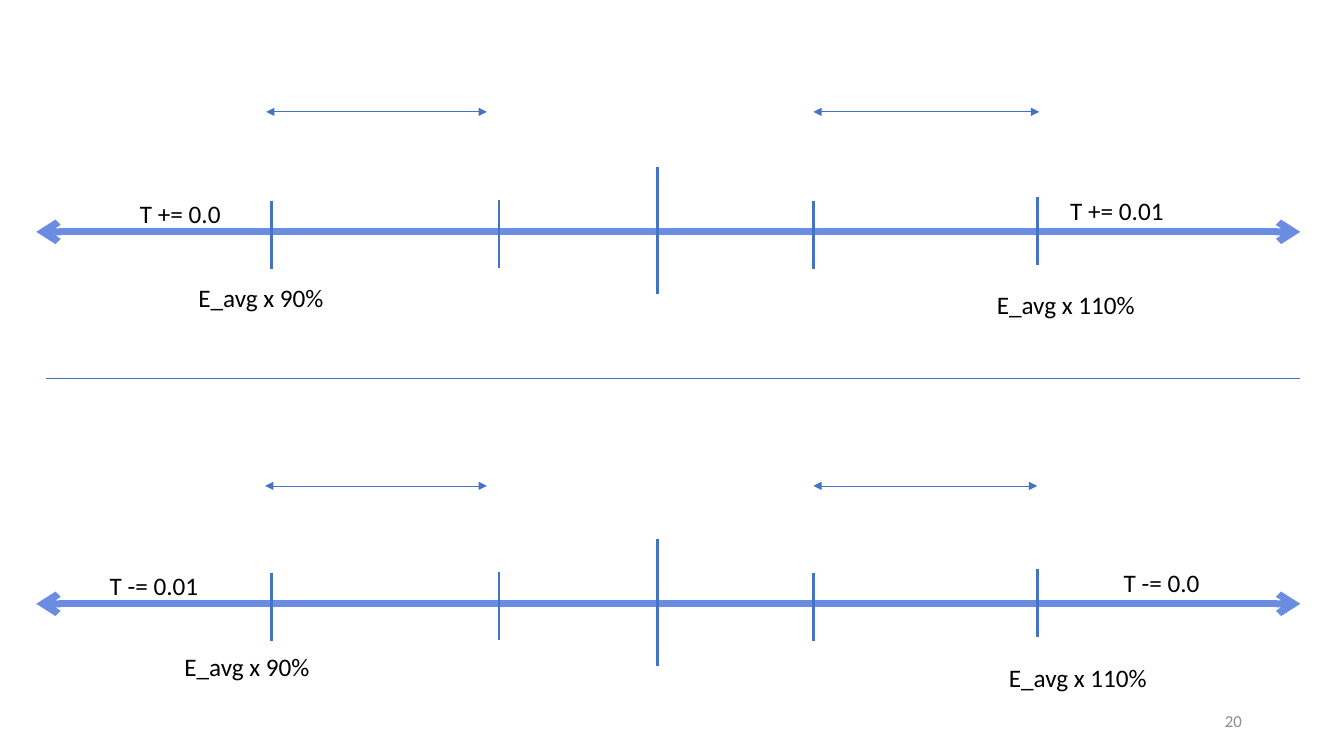
from dataclasses import dataclass

from lxml import etree
from pptx import Presentation
from pptx import util as u
from pptx.dml.color import RGBColor
from pptx.enum import shapes, text
from pptx.oxml import ns

BLUE = RGBColor(0x44, 0x72, 0xC4)
LIGHT = RGBColor(0x6B, 0x8D, 0xE1)
BLACK = RGBColor(0, 0, 0)
GRAY = RGBColor(0x8C, 0x8C, 0x8C)
LEFT, RIGHT = 25.9, 928.8
HIGH = 28.8


@dataclass
class Tick:
    x: float
    rise: float
    size: float = 49


@dataclass
class Label:
    words: str
    x: float
    y: float
    wide: float


@dataclass
class Scale:
    y: float
    gap: float
    spans: list[tuple[float, float]]
    labels: list[Label]


TICKS = [
    Tick(193.7, 22.3),
    Tick(356.4, 23),
    Tick(581, 22.3),
    Tick(469.4, 46.1, 90.7),
    Tick(740.9, 25.2),
]

SCALES = [
    Scale(165.6, 85.7, [(190.1, 347.8), (581, 742.3)], [
        Label("E_avg x 90%", 134.6, 198, 120.2),
        Label("E_avg x 110%", 704.9, 203, 172.1),
        Label("T += 0.01", 757.4, 136.1, 113),
        Label("T += 0.0", 92.9, 138.2, 113),
    ]),
    Scale(431.3, 84.2, [(189.4, 347.8), (581, 740.9)], [
        Label("E_avg x 90%", 124.6, 461.5, 120.2),
        Label("E_avg x 110%", 713.5, 469.4, 172.1),
        Label("T -= 0.01", 71.3, 403.9, 113),
        Label("T -= 0.0", 795.6, 401.8, 113),
    ]),
]


def draw_line(tree, x: float, y: float, end_x: float, end_y: float,
              color: RGBColor, width: float, tip: str = "") -> None:
    line = tree.add_connector(shapes.MSO_CONNECTOR.STRAIGHT,
                              u.Pt(x), u.Pt(y), u.Pt(end_x), u.Pt(end_y))
    line.line.color.rgb = color
    line.line.width = u.Pt(width)
    if tip:
        stroke = line.line._get_or_add_ln()
        for end in ("a:headEnd", "a:tailEnd"):
            etree.SubElement(stroke, ns.qn(end), type=tip)
    etree.SubElement(line._element.spPr, ns.qn("a:effectLst"))


def write(tree, label: Label, size: float = 18, color: RGBColor = BLACK,
          align=text.PP_ALIGN.LEFT, anchor=text.MSO_ANCHOR.TOP) -> None:
    box = tree.add_textbox(u.Pt(label.x), u.Pt(label.y),
                           u.Pt(label.wide), u.Pt(HIGH))
    frame = box.text_frame
    frame.word_wrap = True
    frame.vertical_anchor = anchor
    line = frame.paragraphs[0]
    line.alignment = align
    run = line.add_run()
    run.text = label.words
    form = {"name": "Calibri", "size": u.Pt(size)}
    for key, value in form.items():
        setattr(run.font, key, value)
    run.font.color.rgb = color


def draw_scale(tree, scale: Scale) -> None:
    group = tree.add_group_shape().shapes
    draw_line(group, LEFT, scale.y, RIGHT, scale.y, LIGHT, 5, "arrow")
    for tick in TICKS:
        top = scale.y - tick.rise
        draw_line(group, tick.x, top, tick.x, top + tick.size, BLUE, 2)
    for start, stop in scale.spans:
        y = scale.y - scale.gap
        draw_line(tree, start, y, stop, y, BLUE, 0.5, "triangle")
    for label in scale.labels:
        write(tree, label)


def main() -> None:
    deck = Presentation()
    deck.slide_width, deck.slide_height = u.Pt(960), u.Pt(540)
    tree = deck.slides.add_slide(deck.slide_layouts[6]).shapes
    for scale in SCALES:
        draw_scale(tree, scale)
    draw_line(tree, 33.1, 270, RIGHT, 270, BLUE, 0.5)
    write(tree, Label("20", 678.2, 500.4, 216), 12, GRAY,
          text.PP_ALIGN.RIGHT, text.MSO_ANCHOR.MIDDLE)
    deck.save("out.pptx")


if __name__ == "__main__":
    main()
